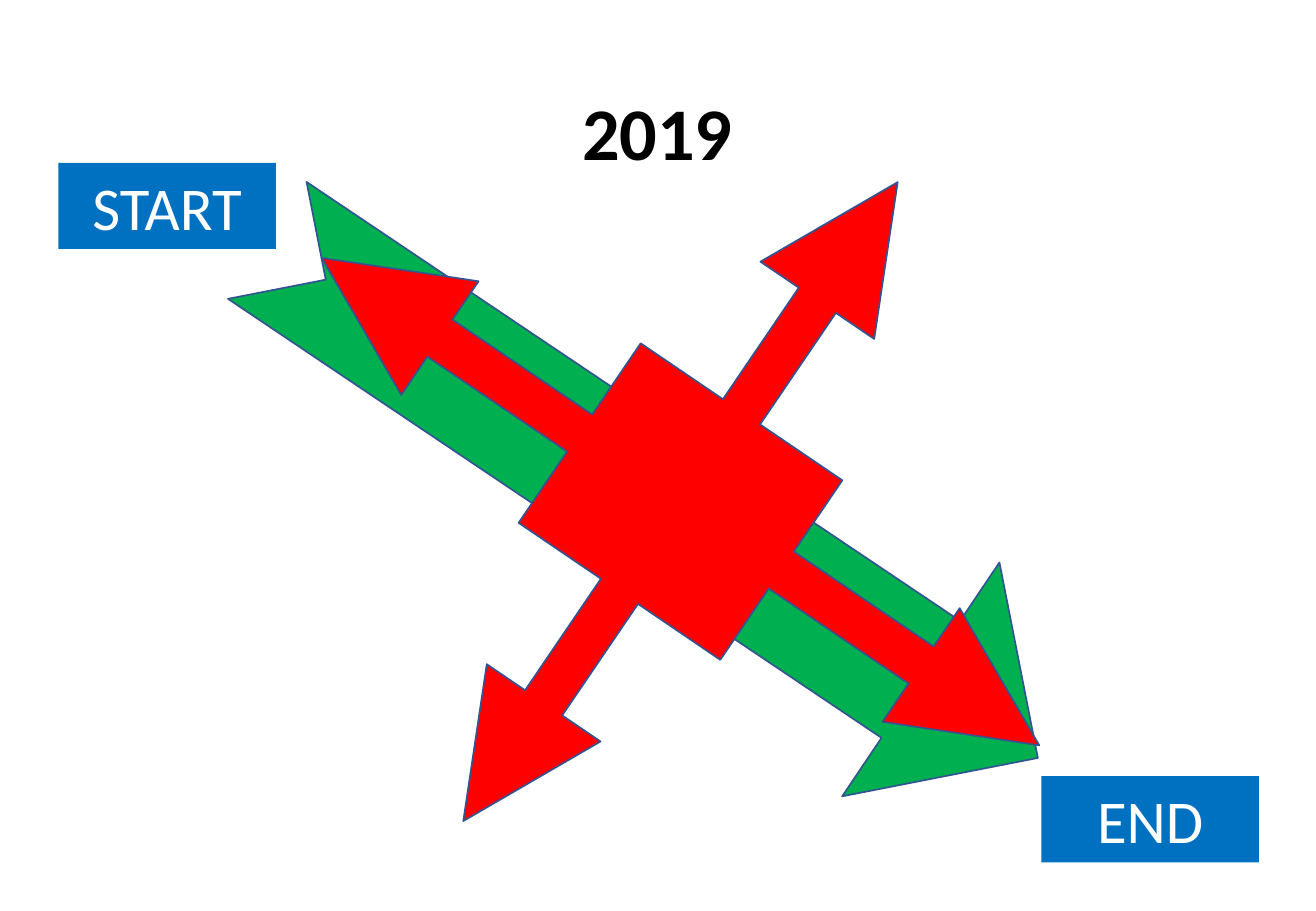
"""Build the 2019 slide: a green path from START to END under a red four-way arrow."""
from pptx import Presentation
from pptx.dml.color import RGBColor
from pptx.enum.shapes import MSO_SHAPE
from pptx.enum.text import MSO_ANCHOR, PP_ALIGN
from pptx.util import Inches, Pt

THEME = {
    "font": "Calibri",
    "year_size": Pt(44),
    "label_size": Pt(36),
    "outline_width": Pt(1),
    "black": RGBColor.from_string("000000"),
    "white": RGBColor.from_string("FFFFFF"),
    "blue": RGBColor.from_string("0070C0"),
    "green": RGBColor.from_string("00B050"),
    "red": RGBColor.from_string("FF0000"),
    "outline": RGBColor.from_string("325491"),
}
LABEL_WIDTH, LABEL_HEIGHT = 1.79, 0.71


def write(shape, text, size, color, bold=False):
    """Put one centred line of text in a shape."""
    frame = shape.text_frame
    frame.word_wrap = True
    frame.vertical_anchor = MSO_ANCHOR.MIDDLE
    frame.text = text
    line = frame.paragraphs[0]
    line.alignment = PP_ALIGN.CENTER
    font = line.runs[0].font
    font.name, font.size, font.bold = THEME["font"], size, bold
    font.color.rgb = color


def add_filled(kind, box, fill):
    """Add a flat preset shape in one theme colour."""
    shape = slide.shapes.add_shape(kind, *map(Inches, box))
    shape.shadow.inherit = False
    shape.fill.solid()
    shape.fill.fore_color.rgb = THEME[fill]
    return shape


deck = Presentation()
deck.slide_width, deck.slide_height = Inches(10.83), Inches(7.5)
slide = deck.slides.add_slide(deck.slide_layouts[6])

year = slide.shapes.add_textbox(*map(Inches, (0.74, 0.4, 9.34, 1.45)))
write(year, "2019", THEME["year_size"], THEME["black"], bold=True)
year.text_frame.paragraphs[0].line_spacing = 0.9

for stage, left, top in (("START", 0.48, 1.34), ("END", 8.57, 6.39)):
    label = add_filled(MSO_SHAPE.RECTANGLE, (left, top, LABEL_WIDTH, LABEL_HEIGHT), "blue")
    label.line.fill.background()
    write(label, stage, THEME["label_size"], THEME["white"])

arrows = (
    (MSO_SHAPE.NOTCHED_RIGHT_ARROW, (1.55, 2.95, 7.64, 2.32), "green", 33.9, ()),
    (MSO_SHAPE.QUAD_ARROW_CALLOUT, (2.03, 0.95, 7.14, 6.36), "red", 34.2,
     (0.058, 0.089, 0.185, 0.281)),
)
for kind, box, fill, angle, proportions in arrows:
    arrow = add_filled(kind, box, fill)
    arrow.rotation = angle
    arrow.line.color.rgb = THEME["outline"]
    arrow.line.width = THEME["outline_width"]
    for index, share in enumerate(proportions):
        arrow.adjustments[index] = share

deck.save("out.pptx")
